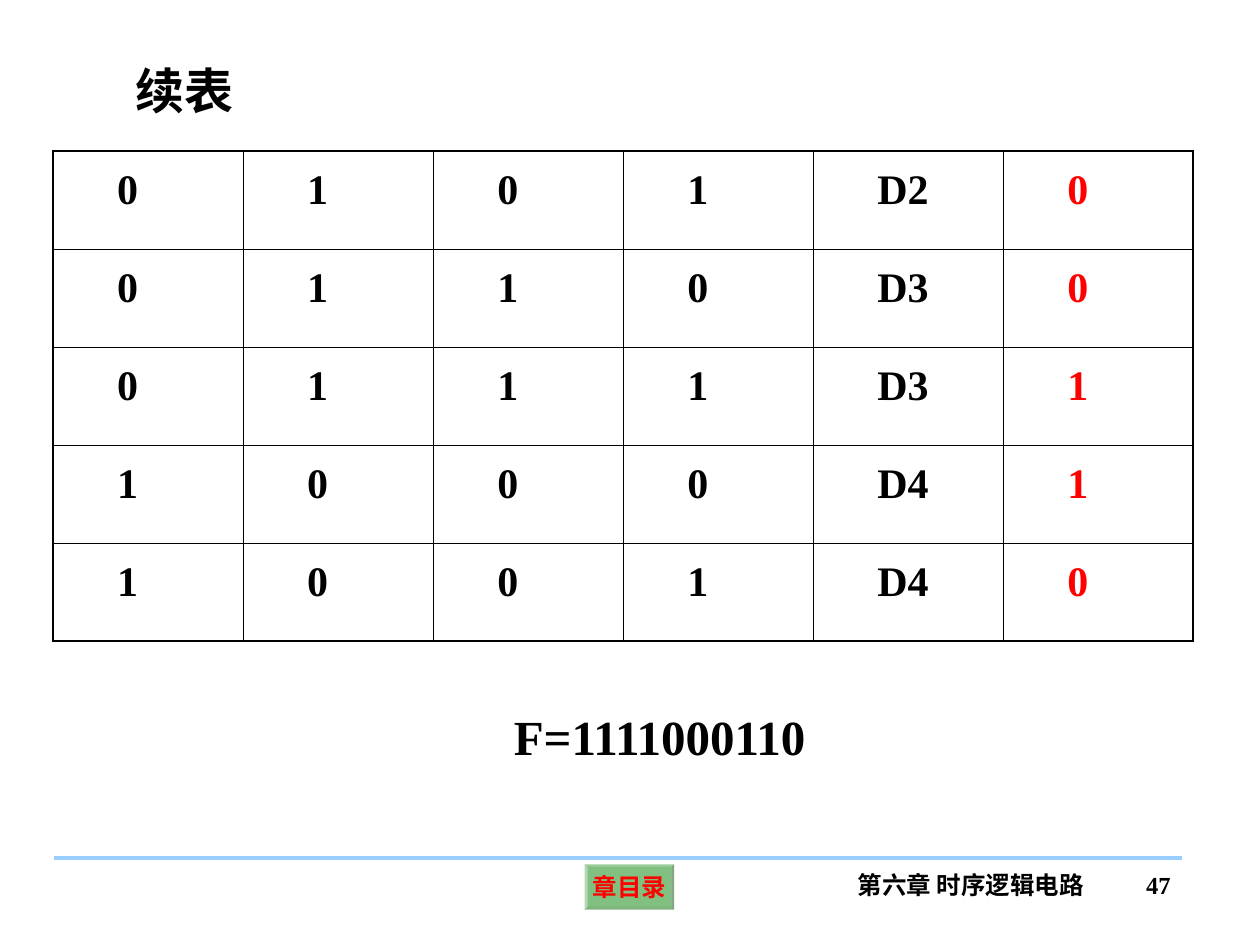
from dataclasses import dataclass

from lxml import etree
from pptx import Presentation
from pptx.dml.color import RGBColor
from pptx.enum.shapes import MSO_CONNECTOR, MSO_SHAPE
from pptx.enum.text import MSO_ANCHOR, MSO_AUTO_SIZE, PP_ALIGN
from pptx.oxml.ns import qn
from pptx.util import Inches, Pt

LEFT, CENTER, RIGHT = PP_ALIGN.LEFT, PP_ALIGN.CENTER, PP_ALIGN.RIGHT
TOP, MIDDLE = MSO_ANCHOR.TOP, MSO_ANCHOR.MIDDLE
NO_AUTOFIT = MSO_AUTO_SIZE.NONE
STRAIGHT, BEVEL = MSO_CONNECTOR.STRAIGHT, MSO_SHAPE.BEVEL
TITLE_ONLY = 5


@dataclass(frozen=True)
class Theme:
    """Colours, type sizes and line widths of the slide."""
    font: str = "Times New Roman"
    ink: str = "000000"
    accent: str = "FF0000"
    rule: str = "99CCFF"
    button: str = "008000"
    button_alpha: int = 49
    heading: int = 28
    cell: int = 24
    footer: int = 14
    rule_width: float = 2.25
    outer_border: float = 1.08
    inner_border: float = 0.45


THEME = Theme()
STATE_ROWS = [
    ("0", "1", "0", "1", "D2", "0"),
    ("0", "1", "1", "0", "D3", "0"),
    ("0", "1", "1", "1", "D3", "1"),
    ("1", "0", "0", "0", "D4", "1"),
    ("1", "0", "0", "1", "D4", "0"),
]


def write_text(frame, text, *, size, color=THEME.ink, align=LEFT, anchor=TOP,
               wrap=True, indent=0, spacing=1.0):
    """Write one bold paragraph into a text frame."""
    frame.word_wrap = wrap
    frame.vertical_anchor = anchor
    paragraph = frame.paragraphs[0]
    paragraph.alignment = align
    paragraph.line_spacing = spacing
    if indent:
        paragraph._p.get_or_add_pPr().set("marL", str(Inches(indent)))
    run = paragraph.add_run()
    run.text = text
    run.font.name = THEME.font
    run.font.size = Pt(size)
    run.font.bold = True
    run.font.color.rgb = RGBColor.from_string(color)


def add_label(slide, box, text, **text_format):
    """Add a text box filling the given box."""
    label = slide.shapes.add_textbox(*map(Inches, box))
    write_text(label.text_frame, text, **text_format)


def place_title(slide, box, text):
    """Move and format the title placeholder."""
    title = slide.shapes.title
    title.left, title.top, title.width, title.height = map(Inches, box)
    title.text_frame.auto_size = NO_AUTOFIT
    write_text(title.text_frame, text, size=THEME.heading, align=CENTER)


def set_border(cell, side, width):
    """Draw one side of a cell in the ink colour."""
    line = etree.SubElement(cell._tc.get_or_add_tcPr(), qn(f"a:ln{side}"), w=str(Pt(width)))
    fill = etree.SubElement(line, qn("a:solidFill"))
    etree.SubElement(fill, qn("a:srgbClr"), val=THEME.ink)


def add_state_table(slide, box, rows):
    """Add the state table with equal rows and columns and a red output column."""
    left, top, width, height = map(Inches, box)
    last_row, last_column = len(rows) - 1, len(rows[0]) - 1
    table = slide.shapes.add_table(len(rows), len(rows[0]), left, top, width, height).table
    table.first_row = table.horz_banding = False
    for r, values in enumerate(rows):
        for c, value in enumerate(values):
            cell = table.cell(r, c)
            outer_sides = {"L": c == 0, "R": c == last_column, "T": r == 0, "B": r == last_row}
            for side, outer in outer_sides.items():
                set_border(cell, side, THEME.outer_border if outer else THEME.inner_border)
            cell.fill.background()
            write_text(cell.text_frame, value, size=THEME.cell, indent=0.41, spacing=1.2,
                       color=THEME.accent if c == last_column else THEME.ink)


def add_contents_button(slide, box, text):
    """Add the translucent bevelled button for the chapter contents."""
    button = slide.shapes.add_shape(BEVEL, *map(Inches, box))
    button.adjustments[0] = 0.06
    button.shadow.inherit = False
    button.fill.solid()
    button.fill.fore_color.rgb = RGBColor.from_string(THEME.button)
    tint = button._element.spPr.find(f".//{qn('a:srgbClr')}")
    etree.SubElement(tint, qn("a:alpha"), val=str(THEME.button_alpha * 1000))
    button.line.fill.background()
    frame = button.text_frame
    frame.margin_left = frame.margin_right = frame.margin_top = frame.margin_bottom = Inches(0.04)
    write_text(frame, text, size=THEME.footer, color=THEME.accent,
               align=CENTER, anchor=MIDDLE, wrap=False)


def add_footer(slide, box, *, contents, chapter, page):
    """Add the rule, contents button, chapter name and page number."""
    left, top, width, _ = box
    right = left + width
    rule = slide.shapes.add_connector(
        STRAIGHT, Inches(left), Inches(top), Inches(right), Inches(top))
    rule.line.color.rgb = RGBColor.from_string(THEME.rule)
    rule.line.width = Pt(THEME.rule_width)
    etree.SubElement(rule._element.spPr, qn("a:effectLst"))
    add_contents_button(slide, (left + 4.21, top + 0.05, 0.71, 0.36), contents)
    add_label(slide, (right - 2.72, top + 0.05, 2.09, 0.5), chapter,
              size=THEME.footer, align=CENTER)
    add_label(slide, (right - 0.85, top + 0.05, 0.86, 0.5), page,
              size=THEME.footer, align=RIGHT)


def main():
    """Build and save the slide."""
    deck = Presentation()
    deck.slide_width, deck.slide_height = Inches(10), Inches(7.5)
    slide = deck.slides.add_slide(deck.slide_layouts[TITLE_ONLY])
    add_footer(slide, (0.43, 6.81, 8.95, 0.55),
               contents="章目录", chapter="第六章 时序逻辑电路", page="47")
    add_state_table(slide, (0.42, 1.2, 9.05, 3.89), STATE_ROWS)
    add_label(slide, (2.8, 5.56, 4.87, 0.57), "F=1111000110",
              size=THEME.heading, align=CENTER)
    place_title(slide, (0.71, 0.43, 1.51, 0.57), "续表")
    deck.save("out.pptx")


if __name__ == "__main__":
    main()
